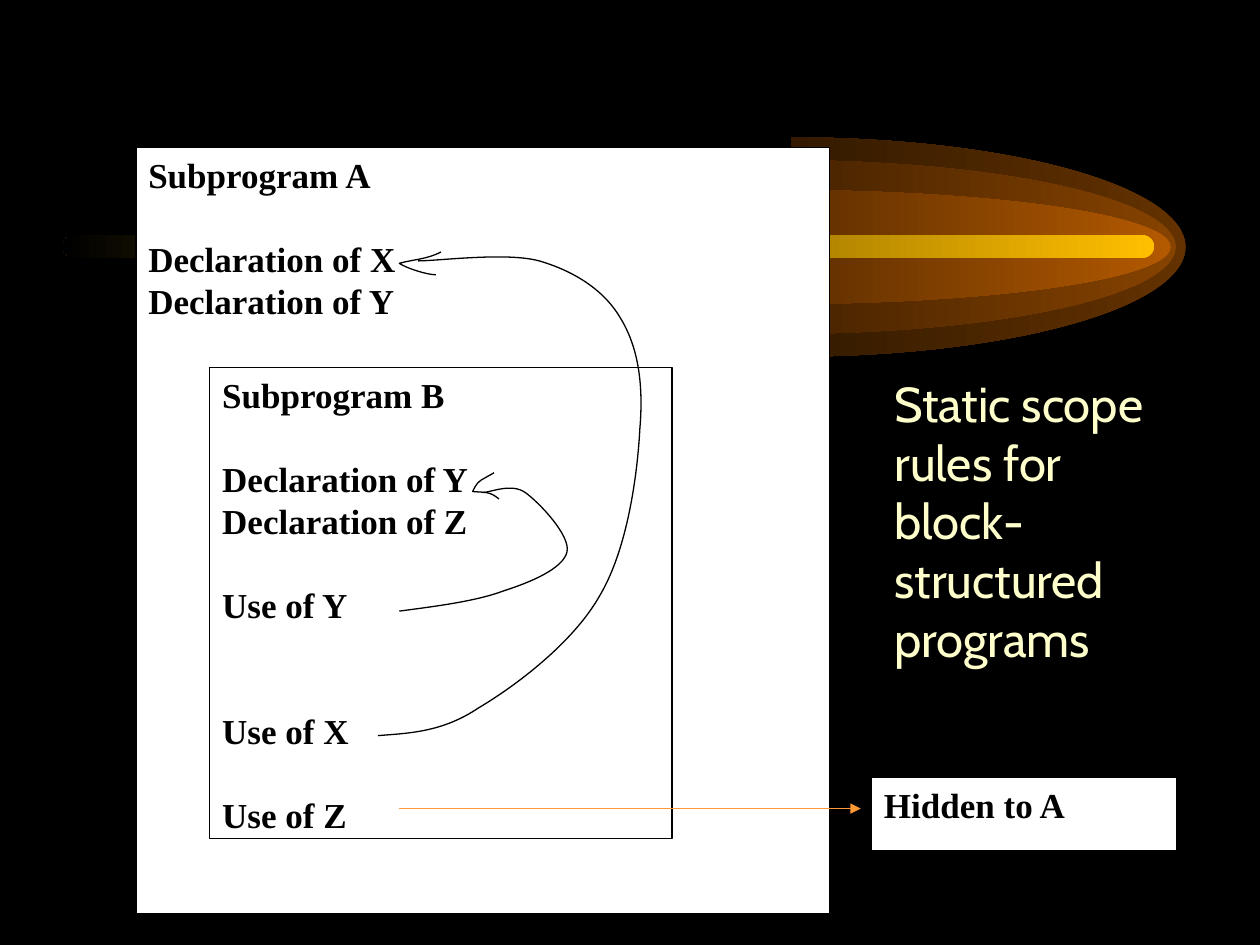
from dataclasses import dataclass
from math import cos, pi, sin, tan

from lxml import etree
from pptx import Presentation
from pptx import util as u
from pptx.dml.color import RGBColor
from pptx.enum import shapes, text
from pptx.oxml import ns

HUES = {
    "black": "000000", "white": "FFFFFF", "cream": "FFFFCC",
    "orange": "FF9933", "gold": "FFBF00",
    "dark": "663300", "mid": "894400", "light": "B75B00",
}
BOLD = {"name": "Times New Roman", "size": u.Pt(20), "bold": True}
PLAIN = {"name": "Cabin", "size": u.Pt(28)}
FRAME = {"word_wrap": True, "vertical_anchor": text.MSO_ANCHOR.TOP}
PITCH = 24
RX, MID = 7.95, 4.98


@dataclass
class Flame:
    x: float
    ry: float
    hue: str


@dataclass
class Panel:
    box: tuple
    lines: list


FLAMES = [
    Flame(15.95, 2.21, "dark"),
    Flame(15.75, 1.75, "mid"),
    Flame(15.65, 1.15, "light"),
]
PANELS = [
    Panel((2.74, 2.97, 13.98, 15.44),
          [("Subprogram A", 0), ("Declaration of X", 1),
           ("Declaration of Y", 0)]),
    Panel((17.57, 15.67, 6.15, 1.47), [("Hidden to A", 0)]),
    Panel((4.23, 7.41, 9.32, 9.5),
          [("Subprogram B", 0), ("Declaration of Y", 1),
           ("Declaration of Z", 0), ("Use of Y", 1),
           ("Use of X", 2), ("Use of Z", 1)]),
]
CURVES = [
    [(8.05, 12.32), (8.81, 12.22), (9.6, 12.12), (10.16, 11.91),
     (10.72, 11.73), (11.35, 11.46), (11.43, 11.13),
     (11.51, 10.8), (10.87, 10.13), (10.59, 9.93),
     (10.31, 9.73), (9.88, 9.93), (9.73, 9.93)],
    [(7.62, 14.83), (8.26, 14.78), (8.92, 14.76), (9.65, 14.27),
     (10.41, 13.82), (11.56, 12.95), (12.09, 12.01),
     (12.65, 11.07), (12.85, 9.58), (12.9, 8.64),
     (12.98, 7.7), (12.85, 6.96), (12.5, 6.4),
     (12.17, 5.84), (11.56, 5.46), (10.87, 5.26),
     (10.21, 5.08), (8.84, 5.26), (8.43, 5.26)],
    [(8.89, 5.08), (8.61, 5.23), (8.33, 5.23), (8.05, 5.31),
     (8.2, 5.41), (8.61, 5.54), (8.79, 5.54)],
    [(9.96, 9.53), (9.88, 9.58), (9.78, 9.63), (9.7, 9.68),
     (9.6, 9.73), (9.53, 9.91), (9.53, 9.91),
     (9.8, 9.93), (9.88, 9.91), (10.06, 10.06)],
]


def tint(name: str) -> RGBColor:
    return RGBColor.from_string(HUES[name])


def cms(nums) -> list:
    return [u.Cm(n) for n in nums]


def apply(item, vals: dict) -> None:
    for key, val in vals.items():
        setattr(item, key, val)


def edge(line, hue: str) -> None:
    line.color.rgb = tint(hue)
    line.width = u.Pt(0.75)


def glow(shape, hue: str) -> None:
    shape.shadow.inherit = False
    shape.line.fill.background()
    shape.fill.gradient()
    shape.fill.gradient_angle = 180
    for stop, name, pos in zip(shape.fill.gradient_stops, (hue, "black"), (0, 1)):
        stop.color.rgb = tint(name)
        stop.position = pos


def bend(shape, count: int) -> None:
    legs = list(shape._element.iter(ns.qn("a:lnTo")))[:count]
    for i in range(0, count, 3):
        arc = etree.Element(ns.qn("a:cubicBezTo"))
        legs[i].addprevious(arc)
        for leg in legs[i:i + 3]:
            arc.append(leg[0])
            leg.getparent().remove(leg)


def oval(flame: Flame) -> list:
    turn = pi / 3
    pull = 4 / 3 * tan(turn / 4)
    knots = []
    for i in range(4):
        for lean in (-pull, 0, pull):
            across = sin(turn * i) + lean * cos(turn * i)
            down = lean * sin(turn * i) - cos(turn * i)
            knots.append((flame.x + RX * across, MID + flame.ry * down))
    return knots[1:-1]


def draw_flame(slide, flame: Flame) -> None:
    knots = oval(flame)
    pen = slide.shapes.build_freeform(*cms((flame.x - RX, MID)))
    pen.move_to(*cms(knots[0]))
    pen.add_line_segments([cms(p) for p in knots[1:] + [(flame.x, MID)]])
    shape = pen.convert_to_shape()
    bend(shape, len(knots) - 1)
    glow(shape, flame.hue)


def draw_bar(slide) -> None:
    bar = slide.shapes.add_shape(
        shapes.MSO_SHAPE.ROUNDED_RECTANGLE, *cms((1.27, 4.74, 22, 0.46)))
    bar.adjustments[0] = 0.5
    glow(bar, "gold")


def write(para, words: str, font: dict, hue: str) -> None:
    para.alignment = text.PP_ALIGN.LEFT
    run = para.add_run()
    run.text = words
    apply(run.font, font)
    run.font.color.rgb = tint(hue)


def draw_panel(slide, panel: Panel) -> None:
    box = slide.shapes.add_shape(shapes.MSO_SHAPE.RECTANGLE, *cms(panel.box))
    box.shadow.inherit = False
    box.fill.solid()
    box.fill.fore_color.rgb = tint("white")
    edge(box.line, "black")
    frame = box.text_frame
    apply(frame, FRAME)
    for i, (words, gap) in enumerate(panel.lines):
        para = frame.add_paragraph() if i else frame.paragraphs[0]
        write(para, words, BOLD, "black")
        para.line_spacing = u.Pt(PITCH)
        if gap:
            para.space_before = u.Pt(PITCH * gap)


def draw_curve(slide, knots: list) -> None:
    pen = slide.shapes.build_freeform(*cms(knots[0]))
    pen.add_line_segments([cms(p) for p in knots[1:]], close=False)
    curve = pen.convert_to_shape()
    bend(curve, len(knots) - 1)
    curve.shadow.inherit = False
    curve.fill.background()
    edge(curve.line, "black")


def draw_arrow(slide) -> None:
    arrow = slide.shapes.add_connector(
        shapes.MSO_CONNECTOR.STRAIGHT, *cms((8.05, 16.3, 17.35, 16.3)))
    edge(arrow.line, "orange")
    etree.SubElement(arrow.line._get_or_add_ln(), ns.qn("a:tailEnd"), type="triangle")
    etree.SubElement(arrow._element.spPr, ns.qn("a:effectLst"))


def draw_title(slide) -> None:
    box = slide.shapes.add_textbox(*cms((17.78, 7.4, 6.55, 6.2)))
    apply(box.text_frame, FRAME)
    write(box.text_frame.paragraphs[0],
          "Static scope rules for block-structured programs", PLAIN, "cream")


def main() -> None:
    deck = Presentation()
    apply(deck, {"slide_width": u.Cm(25.4), "slide_height": u.Cm(19.05)})
    slide = deck.slides.add_slide(deck.slide_layouts[6])
    slide.background.fill.solid()
    slide.background.fill.fore_color.rgb = tint("black")
    for flame in FLAMES:
        draw_flame(slide, flame)
    draw_bar(slide)
    for panel in PANELS:
        draw_panel(slide, panel)
    draw_arrow(slide)
    for knots in CURVES:
        draw_curve(slide, knots)
    draw_title(slide)
    deck.save("out.pptx")


if __name__ == "__main__":
    main()
